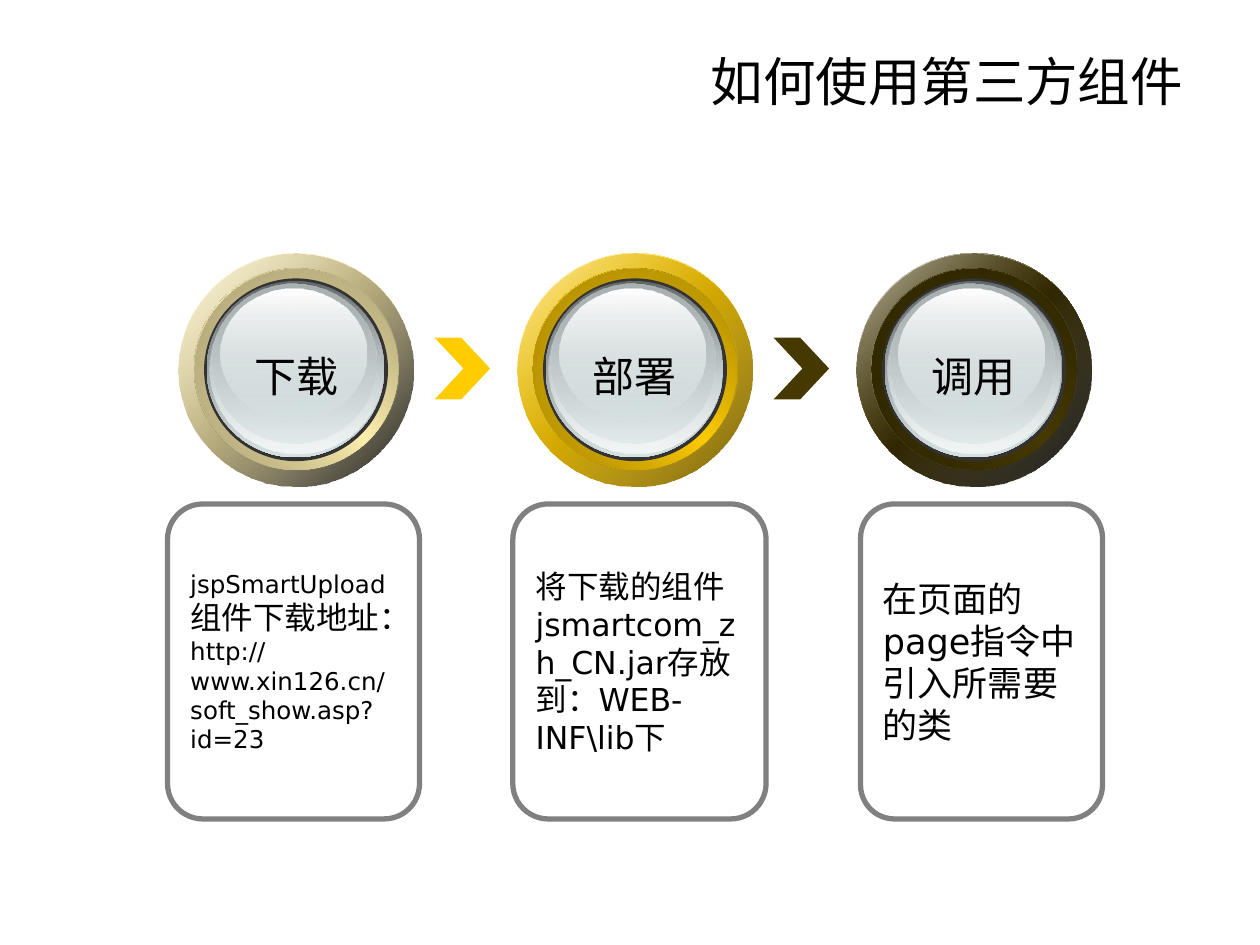
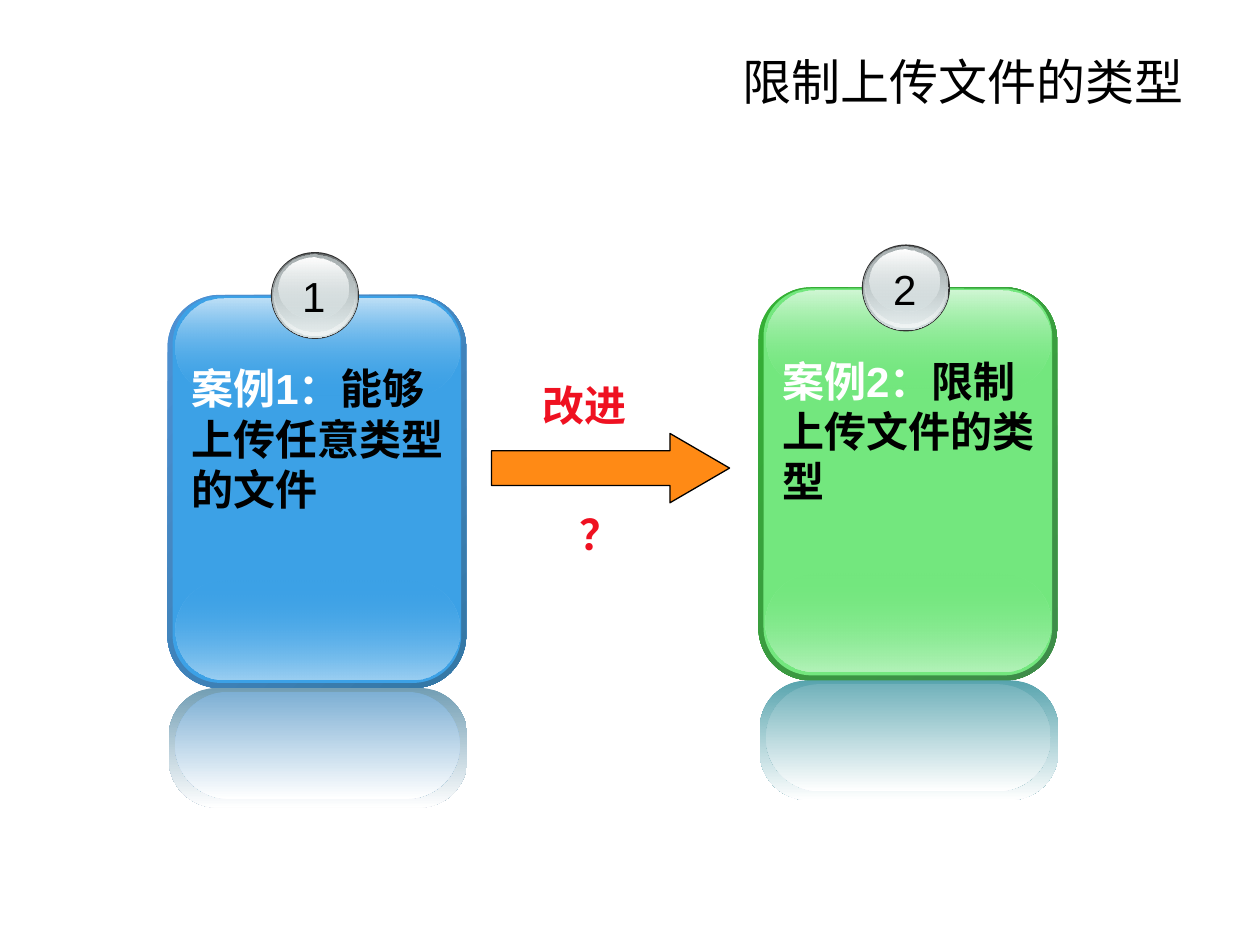
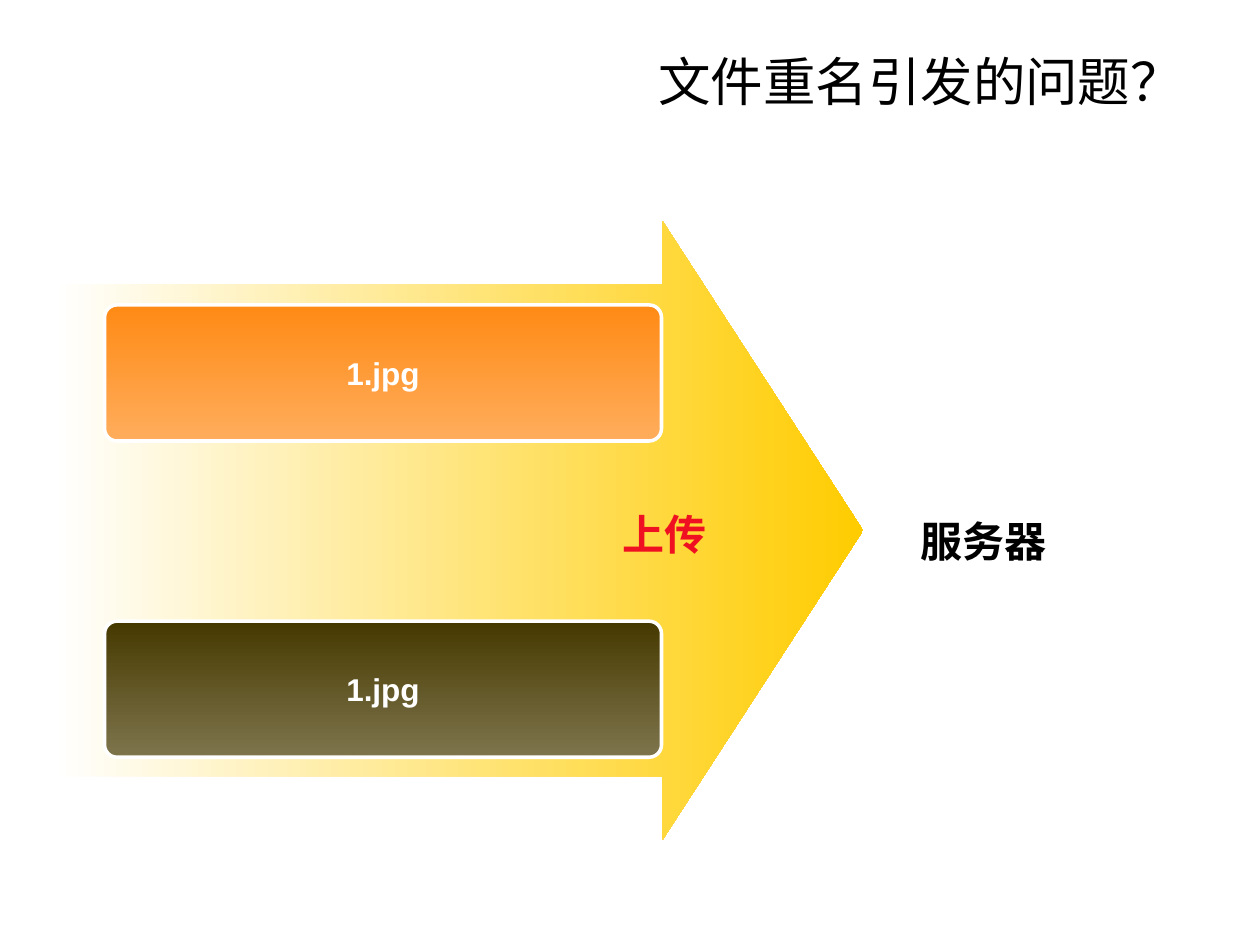
from lxml import etree
from pptx import Presentation
from pptx.dml.color import RGBColor
from pptx.enum import shapes, text
from pptx.oxml import ns
from pptx.util import Inches, Pt

BLACK = RGBColor(0x00, 0x00, 0x00)
WHITE = RGBColor(0xFF, 0xFF, 0xFF)
GREY = RGBColor(0x80, 0x80, 0x80)
CORE = RGBColor(0x33, 0x33, 0x33)
RED = RGBColor(0xEF, 0x11, 0x21)
ORANGE = RGBColor(0xFF, 0x8A, 0x15)
LIGHT_ORANGE = RGBColor(0xFF, 0xAD, 0x5C)
GOLD = RGBColor(0xFF, 0xCC, 0x00)
BROWN = RGBColor(0x46, 0x39, 0x00)
LIGHT_BROWN = RGBColor(0x7E, 0x75, 0x4D)
CREAM = RGBColor(0xFF, 0xF0, 0xAF)
SILVER = RGBColor(0xD6, 0xE1, 0xE2)
SILVER_DARK = RGBColor(0x63, 0x68, 0x69)
SILVER_MID = RGBColor(0xAA, 0xB2, 0xB3)
SILVER_LIGHT = RGBColor(0xF1, 0xF5, 0xF5)

SANS, DEJAVU = "Arial", "DejaVu Sans"
LEFT, CENTER, RIGHT = text.PP_ALIGN.LEFT, text.PP_ALIGN.CENTER, text.PP_ALIGN.RIGHT
MIDDLE, TOP = text.MSO_ANCHOR.MIDDLE, text.MSO_ANCHOR.TOP
OVAL = shapes.MSO_SHAPE.OVAL
ROUNDED = shapes.MSO_SHAPE.ROUNDED_RECTANGLE
ARROW = shapes.MSO_SHAPE.RIGHT_ARROW
CHEVRON = shapes.MSO_SHAPE.CHEVRON

LENS_SIZE = 1.46
LENS_LAYERS = [
    ((0.02, 0.02, 1.41, 1.4), [(SILVER_DARK, 100), (SILVER, 100)]),
    ((0.04, 0.03, 1.38, 1.36), [(SILVER, 0), (SILVER_LIGHT, 100)]),
    ((0.06, 0.04, 1.31, 1.27), [(SILVER_MID, 100), (SILVER, 48)]),
    ((0.13, 0.08, 1.16, 1.03), [(WHITE, 100), (SILVER, 38)]),
]

RING_PALETTES = [
    (CREAM, (BLACK, 90), RGBColor(0x8A, 0x82, 0x5F), RGBColor(0xA2, 0x98, 0x6F)),
    (GOLD, (RGBColor(0x76, 0x5E, 0x00), 100), RGBColor(0x8A, 0x6E, 0x00),
     RGBColor(0xA2, 0x82, 0x00)),
    (BROWN, (BLACK, 90), RGBColor(0x26, 0x1F, 0x00), RGBColor(0x2C, 0x24, 0x00)),
]
STEP_NAMES = ["下载", "部署", "调用"]
STEP_NOTES = [
    ((1.33, 4, 2, 2.5), [("jspSmartUpload", 14), ("组件下载地址：", 18),
                         ("http://www.xin126.cn/soft_show.asp?id=23", 14)]),
    ((4.07, 4, 2.01, 2.5), [("将下载的组件jsmartcom_zh_CN.jar存放到：WEB-INF\\lib下", 18)]),
    ((6.83, 4, 1.92, 2.5), [("在页面的page指令中引入所需要的类", 20)]),
]

BLUE_CARD = {
    "edge": (RGBColor(0x4E, 0x91, 0xD4), RGBColor(0x34, 0x77, 0xA4)),
    "face": RGBColor(0x3C, 0xA1, 0xE6),
    "top": RGBColor(0xBE, 0xE0, 0xF7),
    "bottom": RGBColor(0x9B, 0xCF, 0xF2),
    "mirror": (RGBColor(0x72, 0x9E, 0xB4), RGBColor(0x7D, 0xAF, 0xD4)),
}
GREEN_CARD = {
    "edge": (RGBColor(0x34, 0xB0, 0x34), RGBColor(0x3F, 0x8B, 0x4A)),
    "face": RGBColor(0x73, 0xE7, 0x7E),
    "top": RGBColor(0xD0, 0xF7, 0xD4),
    "bottom": RGBColor(0xB3, 0xF2, 0xB9),
    "mirror": (RGBColor(0x58, 0xA4, 0xAE), RGBColor(0x72, 0xB2, 0xBB)),
}


def inches(box):
    return [Inches(round(length, 2)) for length in box]


def fill_gradient(shape, stops, angle):
    shape.fill.gradient()
    gradient = shape._element.spPr.find(ns.qn("a:gradFill"))
    for child in list(gradient):
        gradient.remove(child)
    stop_list = etree.SubElement(gradient, ns.qn("a:gsLst"))
    for index, (color, opacity) in enumerate(stops):
        position = 100000 * index // (len(stops) - 1)
        stop = etree.SubElement(stop_list, ns.qn("a:gs"), pos=str(position))
        shade = etree.SubElement(stop, ns.qn("a:srgbClr"), val=str(color))
        if opacity < 100:
            etree.SubElement(shade, ns.qn("a:alpha"), val=str(opacity * 1000))
    etree.SubElement(gradient, ns.qn("a:lin"), ang=str(angle * 60000), scaled="0")


def add_part(canvas, kind, box, fill=None, angle=90, adjust=(), line=None):
    part = canvas.add_shape(kind, *inches(box))
    part.shadow.inherit = False
    for index, value in enumerate(adjust):
        part.adjustments[index] = value
    if fill is None:
        part.fill.background()
    elif isinstance(fill, list):
        fill_gradient(part, fill, angle)
    else:
        part.fill.solid()
        part.fill.fore_color.rgb = fill
    if line:
        part.line.color.rgb, part.line.width = line
    else:
        part.line.fill.background()
    return part


def write(shape, runs, size=24, font=SANS, color=BLACK, bold=False,
          align=LEFT, anchor=TOP, wrap=True):
    frame = shape.text_frame
    frame.word_wrap = wrap
    frame.auto_size = text.MSO_AUTO_SIZE.NONE
    frame.vertical_anchor = anchor
    paragraph = frame.paragraphs[0]
    paragraph.alignment = align
    paragraph.font.size = Pt(size)
    paragraph.font.name = font
    paragraph.font.bold = bold
    paragraph.font.color.rgb = color
    for words in [runs] if isinstance(runs, str) else runs:
        run = paragraph.add_run()
        if isinstance(words, str):
            run.text = words
            continue
        run.text, variation = words
        if isinstance(variation, RGBColor):
            run.font.color.rgb = variation
        else:
            run.font.size = Pt(variation)


def add_label(canvas, box, runs, **style):
    write(canvas.add_textbox(*inches(box)), runs, **style)


def add_titled_slide(deck, title, size=30):
    slide = deck.slides.add_slide(deck.slide_layouts[5])
    heading = slide.shapes.title
    heading.left, heading.top, heading.width, heading.height = inches((0.51, 0.21, 8.98, 0.86))
    write(heading, title, size=size, align=RIGHT, anchor=MIDDLE)
    return slide.shapes


def add_lens(canvas, left, top, size):
    scale = size / LENS_SIZE
    add_part(canvas, OVAL, (left, top, size, size * 0.99), CORE)
    for (x, y, width, height), stops in LENS_LAYERS:
        box = (left + x * scale, top + y * scale, width * scale, height * scale)
        add_part(canvas, OVAL, box, stops)


def add_ring(canvas, left, top, palette, name):
    base, shade, groove, bevel = palette
    outer = (left, top, 1.86, 1.85)
    inner = (left + 0.12, top + 0.12, 1.62, 1.6)
    add_part(canvas, OVAL, outer, [(WHITE, 100), (base, 100), (WHITE, 100)], 45)
    add_part(canvas, OVAL, outer, [(base, 32), shade], 45)
    add_part(canvas, OVAL, inner, [(groove, 100), (base, 100), (groove, 100)], 315)
    add_part(canvas, OVAL, inner, [(bevel, 100), (base, 0)], 45)
    add_lens(canvas, left + 0.2, top + 0.2, LENS_SIZE)
    add_label(canvas, (left + 0.5, top + 0.72, 0.86, 0.5), name, align=CENTER, wrap=False)


def add_case_card(canvas, left, top, colors, number, case, caption):
    card = canvas.add_group_shape().shapes
    face = colors["face"]
    layers = [
        ((0, 0.34, 2.37, 3.12), [(color, 100) for color in colors["edge"]], 45, 0.176),
        ((0.04, 0.35, 2.29, 3.07), face, 90, 0.166),
        ((0.06, 2.61, 2.26, 0.78), [(face, 0), (colors["bottom"], 100)], 90, 0.5),
        ((0.06, 0.37, 2.26, 0.77), [(colors["top"], 100), (face, 0)], 90, 0.5),
        ((0.01, 3.46, 2.37, 0.95), [(colors["mirror"][0], 100), (WHITE, 100)], 90, 0.404),
        ((0.06, 3.49, 2.26, 0.85), [(colors["mirror"][1], 100), (WHITE, 100)], 90, 0.5),
    ]
    for (x, y, width, height), fill, angle, radius in layers:
        add_part(card, ROUNDED, (left + x, top + y, width, height), fill, angle, [radius])
    add_lens(card, left + 0.82, top, 0.7)
    add_label(card, (left + 0.97, top + 0.1, 0.38, 0.5), number, align=CENTER, wrap=False)
    add_label(card, (left + 0.09, top + 0.83, 2.25, 1.3), [(case, WHITE), caption], bold=True)


def build_component_steps(deck):
    canvas = add_titled_slide(deck, "如何使用第三方组件")
    for box, runs in STEP_NOTES:
        note = add_part(canvas, ROUNDED, box, adjust=[0.14], line=(GREY, Pt(3)))
        write(note, runs, size=18, font=DEJAVU, anchor=MIDDLE)
    for index, (palette, name) in enumerate(zip(RING_PALETTES, STEP_NAMES)):
        add_ring(canvas, 1.42 + 2.69 * index, 2.01, palette, name)
    for index, color in enumerate([GOLD, BROWN]):
        add_part(canvas, CHEVRON, (3.45 + 2.69 * index, 2.68, 0.44, 0.49), color, adjust=[0.52])


def build_type_limit(deck):
    canvas = add_titled_slide(deck, "限制上传文件的类型", size=28)
    add_case_card(canvas, 1.33, 2, BLUE_CARD, "1", "案例1：", "能够上传任意类型的文件")
    add_case_card(canvas, 6.02, 1.94, GREEN_CARD, "2", "案例2：", "限制上传文件的类型")
    add_part(canvas, ARROW, (3.9, 3.44, 1.89, 0.55), ORANGE,
             adjust=[0.5, 0.859], line=(BLACK, Pt(0.75)))
    emphasis = {"font": DEJAVU, "color": RED, "bold": True}
    add_label(canvas, (4.21, 2.96, 0.95, 0.5), "改进", **emphasis)
    add_label(canvas, (4.29, 3.99, 0.95, 0.5), "？", align=CENTER, **emphasis)


def build_name_clash(deck):
    canvas = add_titled_slide(deck, "文件重名引发的问题？")
    add_part(canvas, ARROW, (0.42, 1.75, 6.43, 4.92), [(WHITE, 100), (GOLD, 100)], 0,
             adjust=[0.793, 0.324])
    for top, color, fade in [(2.42, ORANGE, LIGHT_ORANGE), (4.93, BROWN, LIGHT_BROWN)]:
        upload = add_part(canvas, ROUNDED, (0.83, top, 4.42, 1.08), [(color, 100), (fade, 100)],
                          adjust=[0.091], line=(WHITE, Pt(2)))
        write(upload, "1.jpg", size=18, color=WHITE, bold=True,
              align=CENTER, anchor=MIDDLE, wrap=False)
    server = add_part(canvas, ROUNDED, (6.43, 3.58, 2.75, 1.42), adjust=[0.091])
    write(server, "服务器", bold=True, align=CENTER, anchor=MIDDLE)
    add_label(canvas, (4.84, 3.99, 1.57, 0.5), "上传", font=DEJAVU, color=RED, bold=True)


def main():
    deck = Presentation()
    deck.slide_width, deck.slide_height = Inches(10), Inches(7.5)
    build_component_steps(deck)
    build_type_limit(deck)
    build_name_clash(deck)
    deck.save("out.pptx")


if __name__ == "__main__":
    main()
